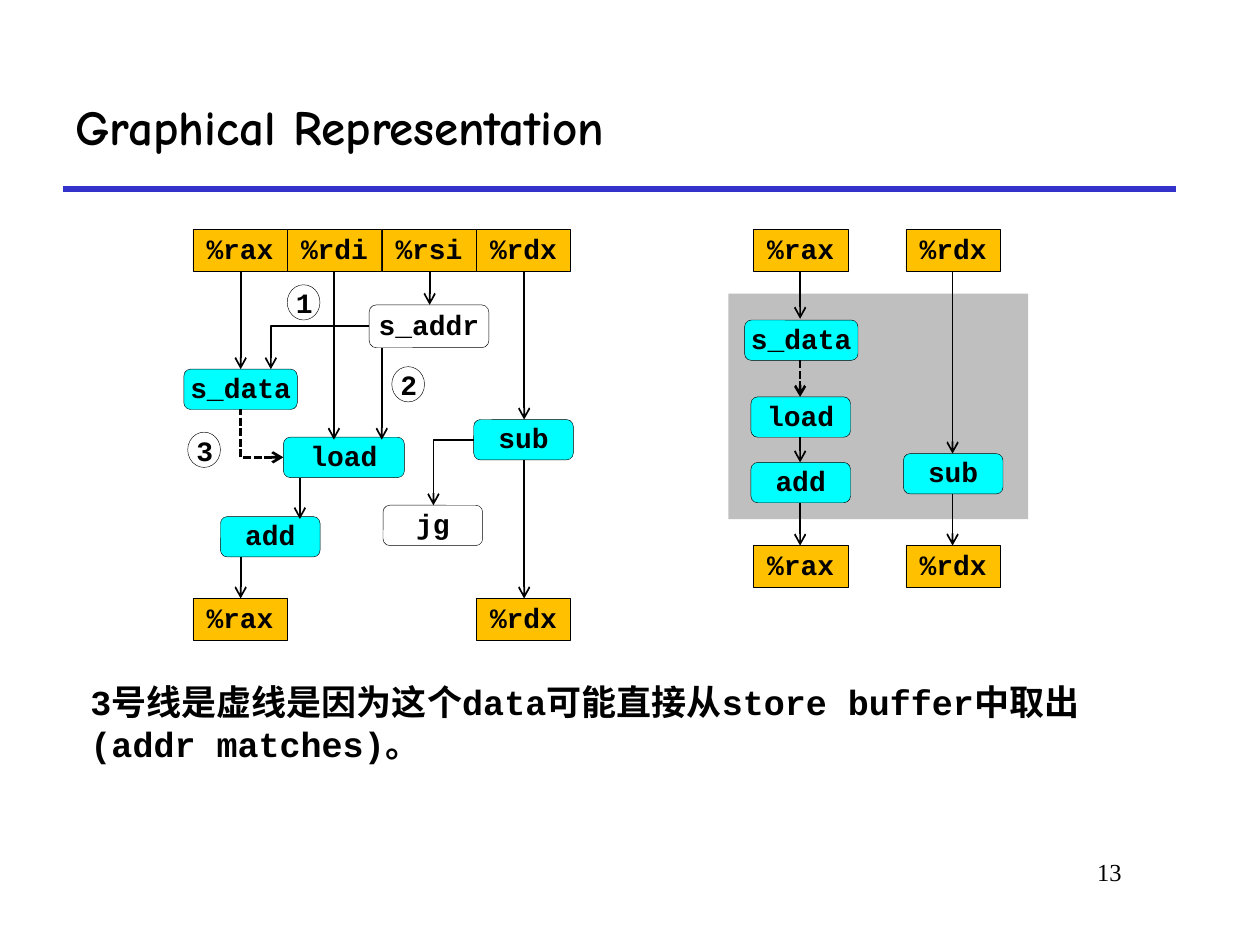
"""Build the slide that shows a loop as a data-flow graph."""
from lxml.etree import SubElement
from pptx import Presentation
from pptx.dml.color import RGBColor
from pptx.enum.dml import MSO_LINE
from pptx.enum.shapes import MSO_CONNECTOR, MSO_SHAPE
from pptx.enum.text import MSO_ANCHOR, PP_ALIGN
from pptx.oxml.ns import qn
from pptx.util import Inches, Pt

THEME = {
    "black": RGBColor(0x00, 0x00, 0x00),
    "white": RGBColor(0xFF, 0xFF, 0xFF),
    "rule": RGBColor(0x33, 0x33, 0xCC),
    "register": RGBColor(0xFF, 0xC0, 0x00),
    "operation": RGBColor(0x00, 0xFF, 0xFF),
    "panel": RGBColor(0xBF, 0xBF, 0xBF),
    "title": {"name": "Comic Neue", "size": Pt(28), "bold": True},
    "code": {"name": "Courier New", "size": Pt(16), "bold": True},
    "note": {"name": "Courier New", "size": Pt(20), "bold": True},
    "number": {"name": "Times New Roman", "size": Pt(14), "bold": False},
    "outline": Pt(0.25),
    "arrow": Pt(1),
    "dashed": Pt(1.5),
    "thick": Pt(3),
}

presentation = Presentation()
presentation.slide_width = Inches(10)
presentation.slide_height = Inches(7.5)
column = presentation.slide_width // 1000
row = presentation.slide_height // 750
slide = presentation.slides.add_slide(presentation.slide_layouts[6])


def write(shape, lines, style, frame_format, paragraph_format):
    frame = shape.text_frame
    frame.text = "\n".join(lines)
    for name, value in {"word_wrap": True, **frame_format}.items():
        setattr(frame, name, value)
    for paragraph in frame.paragraphs:
        for name, value in paragraph_format.items():
            setattr(paragraph, name, value)
        for name, value in THEME[style].items():
            setattr(paragraph.font, name, value)
        paragraph.font.color.rgb = THEME["black"]


def connect(start, end, color="black", width="arrow", arrow="tailEnd", bent=False):
    kind = MSO_CONNECTOR.ELBOW if bent else MSO_CONNECTOR.STRAIGHT
    connector = slide.shapes.add_connector(
        kind, start[0] * column, start[1] * row, end[0] * column, end[1] * row)
    connector.line.color.rgb = THEME[color]
    connector.line.width = THEME[width]
    if width == "dashed":
        connector.line.dash_style = MSO_LINE.SQUARE_DOT
    properties = connector._element.spPr
    if bent:
        properties.find(qn("a:prstGeom")).set("prst", "bentConnector2")
    if arrow:
        SubElement(connector.line._get_or_add_ln(), qn("a:" + arrow), type="arrow")
    SubElement(properties, qn("a:effectLst"))


connect((50, 150), (933, 150), color="rule", width="thick", arrow=None)

panel = slide.shapes.add_shape(
    MSO_SHAPE.RECTANGLE, 578 * column, 233 * row, 238 * column, 179 * row)
panel.shadow.inherit = False
panel.fill.solid()
panel.fill.fore_color.rgb = THEME["panel"]
panel.line.fill.background()

text_boxes = [
    (758, 675, 142, 50, ["13"], "number", {}, {"alignment": PP_ALIGN.RIGHT}),
    (50, 50, 883, 100, ["Graphical Representation"], "title",
     {"vertical_anchor": MSO_ANCHOR.MIDDLE}, {}),
    (62, 535, 806, 77,
     ["3号线是虚线是因为这个data可能直接从store buffer中取出", "(addr matches)。"],
     "note", {}, {}),
]
for left, top, width, height, lines, style, frame_format, paragraph_format in text_boxes:
    box = slide.shapes.add_textbox(left * column, top * row, width * column, height * row)
    write(box, lines, style, frame_format, paragraph_format)

registers = [(name, 153 + 75 * index, 182, 75, 33)
             for index, name in enumerate(["%rax", "%rdi", "%rsi", "%rdx"])]
registers += [("%rax", 153, 475, 75, 33), ("%rdx", 378, 475, 75, 33)]
registers += [(name, left, top, 75, 33) for top in (182, 433)
              for name, left in (("%rax", 598), ("%rdx", 719))]
operations = [
    ("s_data", 146, 293, 90, 32),
    ("load", 225, 347, 96, 32),
    ("sub", 376, 333, 79, 32),
    ("add", 175, 410, 79, 32),
    ("s_data", 591, 254, 90, 32),
    ("load", 596, 315, 79, 32),
    ("add", 596, 367, 79, 32),
    ("sub", 717, 360, 79, 32),
]
helpers = [("s_addr", 293, 242, 95, 34), ("jg", 304, 401, 79, 32)]
node_kinds = [
    (registers, MSO_SHAPE.RECTANGLE, "register"),
    (operations, MSO_SHAPE.ROUNDED_RECTANGLE, "operation"),
    (helpers, MSO_SHAPE.ROUNDED_RECTANGLE, "white"),
]
node_frame = {"vertical_anchor": MSO_ANCHOR.MIDDLE, "margin_left": 0,
              "margin_right": 0, "margin_top": 0, "margin_bottom": 0}
node_paragraph = {"alignment": PP_ALIGN.CENTER, "line_spacing": 0.9}
for nodes, outline, fill in node_kinds:
    for name, left, top, width, height in nodes:
        node = slide.shapes.add_shape(
            outline, left * column, top * row, width * column, height * row)
        node.shadow.inherit = False
        node.fill.solid()
        node.fill.fore_color.rgb = THEME[fill]
        node.line.color.rgb = THEME["black"]
        node.line.width = THEME["outline"]
        wrapping = {"word_wrap": name != "s_data"}
        write(node, [name], "code", {**node_frame, **wrapping}, node_paragraph)

straight_arrows = {
    191: [(215, 293), (442, 475)],
    238: [(379, 412)],
    265: [(215, 349)],
    303: [(276, 349)],
    341: [(215, 242)],
    416: [(215, 333), (365, 475)],
    635: [(215, 253), (347, 367), (399, 433)],
    756: [(215, 360), (392, 433)],
}
for center, spans in straight_arrows.items():
    for top, bottom in spans:
        connect((center, top), (center, bottom))
connect((635, 286), (635, 315), width="dashed")

connect((293, 259), (215, 293), bent=True)
connect((376, 349), (344, 401), bent=True)
connect((225, 363), (191, 325), width="dashed", arrow="headEnd", bent=True)

for number, left, top in [("1", 225, 225), ("2", 308, 290), ("3", 146, 342)]:
    marker = slide.shapes.add_group_shape()
    label = marker.shapes.add_textbox(left * column, top * row, 29 * column, 35 * row)
    write(label, [number], "code", {}, {"line_spacing": 0.9})
    circle = marker.shapes.add_shape(
        MSO_SHAPE.OVAL, (left + 3) * column, (top + 1) * row, 26 * column, 28 * row)
    circle.shadow.inherit = False
    circle.fill.background()
    circle.line.color.rgb = THEME["black"]
    circle.line.width = THEME["outline"]

presentation.save("out.pptx")
